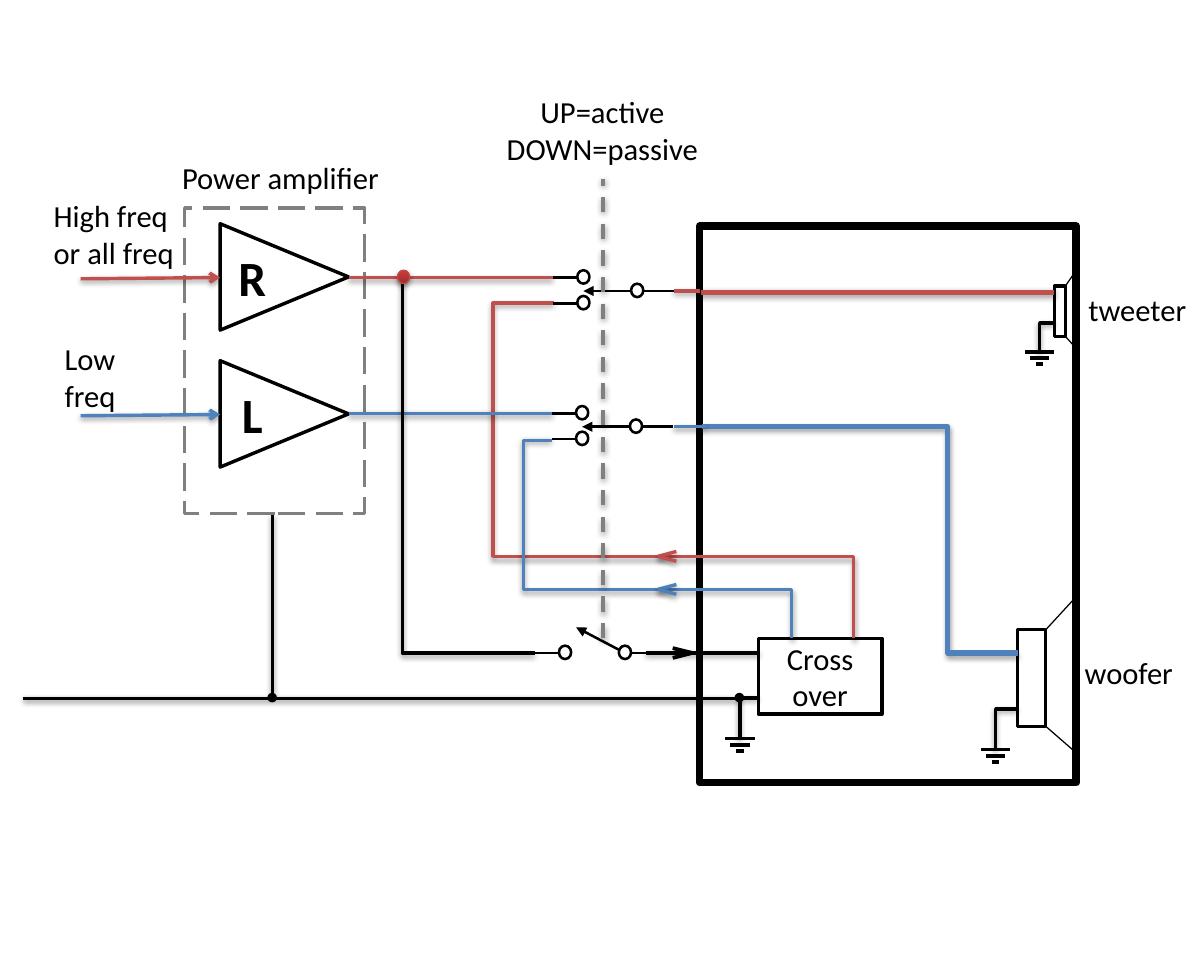
from lxml.etree import SubElement
from pptx import Presentation
from pptx.dml.color import RGBColor
from pptx.enum.dml import MSO_LINE
from pptx.enum.shapes import MSO_CONNECTOR, MSO_SHAPE
from pptx.enum.text import MSO_ANCHOR, PP_ALIGN
from pptx.oxml.ns import qn
from pptx.util import Inches, Pt

COLORS = {"black": "000000", "white": "FFFFFF", "gray": "808080",
          "red": "C0504D", "blue": "4F81BD", "node_line": "BF4C48",
          "node_dark": "9C2F2D", "node_light": "CE3B37"}
LABEL_FONT = {"name": "Calibri", "size": Pt(18), "bold": False}
AMPLIFIER_FONT = {"name": "Calibri", "size": Pt(29), "bold": True}
CONTACT = 0.1
LEAD = 0.2


def color(name):
    return RGBColor.from_string(COLORS[name])


def set_line(shape, name, width, dash=None):
    shape.line.color.rgb = color(name)
    shape.line.width = Pt(width)
    if dash:
        shape.line.dash_style = dash


def set_effects(shape, shadow):
    """Replace the theme shadow by a soft one below the shape, or by none."""
    properties = shape._element.spPr
    for old in properties.findall(qn("a:effectLst")):
        properties.remove(old)
    effects = SubElement(properties, qn("a:effectLst"))
    if shadow:
        outer = SubElement(effects, qn("a:outerShdw"), blurRad="40000", dist="20000",
                           dir="5400000", rotWithShape="0")
        black = SubElement(outer, qn("a:srgbClr"), val=COLORS["black"])
        SubElement(black, qn("a:alpha"), val="38000")


def add_wire(slide, points, name="black", width=2, shadow=True, dash=None, tail=None):
    """Join points, in inches, by a connector or by one bent outline."""
    corners = [(Inches(x), Inches(y)) for x, y in points]
    if len(corners) == 2:
        wire = slide.shapes.add_connector(MSO_CONNECTOR.STRAIGHT, *corners[0], *corners[1])
    else:
        builder = slide.shapes.build_freeform(*corners[0])
        builder.add_line_segments(corners[1:], close=False)
        wire = builder.convert_to_shape()
        wire.fill.background()
    set_line(wire, name, width, dash)
    if tail:
        SubElement(wire._element.spPr.find(qn("a:ln")), qn("a:tailEnd"), type=tail)
    set_effects(wire, shadow)


def add_part(slide, kind, box, width=2, fill="white", line="black", dash=None):
    shape = slide.shapes.add_shape(kind, *map(Inches, box))
    if fill:
        shape.fill.solid()
        shape.fill.fore_color.rgb = color(fill)
    else:
        shape.fill.background()
    set_line(shape, line, width, dash)
    set_effects(shape, False)
    return shape


def write(shape, lines, font=LABEL_FONT, align=PP_ALIGN.CENTER):
    frame = shape.text_frame
    frame.word_wrap = True
    for index, text in enumerate(lines):
        paragraph = frame.add_paragraph() if index else frame.paragraphs[0]
        paragraph.alignment = align
        run = paragraph.add_run()
        run.text = text
        for key, value in font.items():
            setattr(run.font, key, value)
        run.font.color.rgb = color("black")


def add_label(slide, box, *lines, align=PP_ALIGN.LEFT):
    write(slide.shapes.add_textbox(*map(Inches, box)), lines, align=align)


def add_junction(slide, x, y):
    add_part(slide, MSO_SHAPE.OVAL, (x - 0.03, y - 0.03, 0.05, 0.05), fill="black")


def add_ground(slide, points):
    """Draw a lead through the points and the three ground bars at its end."""
    add_wire(slide, points)
    x, y = points[-1]
    for row, half in enumerate((0.12, 0.08, 0.03)):
        level = y + 0.05 * row
        add_wire(slide, [(x - half, level), (x + half, level)], width=2.25, shadow=False)


def add_chevron(slide, tip, length, name="black", width=2, shadow=True):
    x, y = tip
    for rise in (-0.04, 0.04):
        add_wire(slide, [(x + length, y + rise), tip], name, width, shadow)


def draw_amplifier(slide, left, top, width, height):
    add_part(slide, MSO_SHAPE.RECTANGLE, (left, top, width, height), line="gray",
             dash=MSO_LINE.LONG_DASH)
    for row, letter in enumerate("RL"):
        triangle = add_part(slide, MSO_SHAPE.ISOSCELES_TRIANGLE,
                            (left + 0.38, top + 0.04 + 1.12 * row, 0.87, 1.05))
        triangle.rotation = 90
        triangle.text_frame._txBody.bodyPr.set("vert", "vert270")
        triangle.text_frame.vertical_anchor = MSO_ANCHOR.MIDDLE
        write(triangle, [letter], AMPLIFIER_FONT)
    add_label(slide, (left - 0.12, top - 0.45, 1.95, 0.4), "Power amplifier")
    add_label(slide, (left - 1.17, top - 0.14, 1.32, 0.71), "High freq or all freq")
    add_label(slide, (left - 1.08, top + 1.03, 1.05, 0.71), "Low freq")


def draw_speaker(slide, box, cone, ground):
    """Draw a driver; cone is reach, rise and drop, ground is tap, run and fall."""
    left, top, width, height = box
    reach, rise, drop = cone
    tap, run, fall = ground
    add_part(slide, MSO_SHAPE.RECTANGLE, box)
    right, bottom = left + width, top + height
    for start, end in ((top, top - rise), (bottom, bottom + drop)):
        add_wire(slide, [(right, start), (right + reach, end)], width=0.75, shadow=False)
    add_ground(slide, [(left, top + tap), (left - run, top + tap),
                       (left - run, top + tap + fall)])


def draw_cabinet(slide, left, top, width, height):
    add_part(slide, MSO_SHAPE.RECTANGLE, (left, top, width, height), width=4.5)
    crossover = add_part(slide, MSO_SHAPE.RECTANGLE, (left + 0.48, top + 3.37, 1.01, 0.62))
    crossover.text_frame.vertical_anchor = MSO_ANCHOR.MIDDLE
    write(crossover, ["Cross over"])
    draw_speaker(slide, (left + 2.9, top + 0.49, 0.09, 0.41), (0.09, 0.13, 0.1),
                 (0.3, 0.12, 0.24))
    draw_speaker(slide, (left + 2.6, top + 3.3, 0.23, 0.79), (0.23, 0.25, 0.2),
                 (0.65, 0.18, 0.33))
    add_ground(slide, [(left + 0.48, top + 3.86), (left + 0.33, top + 3.86),
                       (left + 0.33, top + 4.19)])
    add_label(slide, (left + 3.08, top + 0.48, 1.05, 0.4), "tweeter")
    add_label(slide, (left + 3.05, top + 3.45, 0.93, 0.4), "woofer")


def draw_switch(slide, left, top, throws, pole, tip, out):
    """Draw contacts at the throw rows, a pole, its arrow to tip and its lead to out."""
    def add_contact(x, y, fill):
        add_part(slide, MSO_SHAPE.OVAL, (left + x, top + y - 0.06, CONTACT, 0.11), 1.5, fill)

    pole_x, pole_y = pole
    center = (left + pole_x + CONTACT / 2, top + pole_y)
    for row in throws:
        add_contact(LEAD, row, None)
        add_wire(slide, [(left + LEAD, top + row), (left, top + row)], width=1.5, shadow=False)
    add_wire(slide, [center, (left + out, top + pole_y)], width=1.5, shadow=False)
    add_wire(slide, [center, (left + tip[0], top + tip[1])], width=1.5, shadow=False,
             tail="triangle")
    add_contact(pole_x, pole_y, "white")


def draw_wiring(slide):
    for name, width, points in (
            ("red", 3, [(8.62, 2.39), (5.73, 2.39)]),
            ("blue", 3, [(8.32, 5.34), (7.75, 5.34), (7.75, 3.49), (5.74, 3.49)]),
            ("black", 2, [(6.21, 5.34), (5.28, 5.34)]),
            ("black", 2, [(6.05, 5.71), (0.19, 5.71)]),
            ("black", 2, [(2.23, 4.21), (2.23, 5.68)]),
            ("red", 2, [(2.85, 2.27), (4.52, 2.27)]),
            ("red", 2, [(6.98, 5.22), (6.98, 4.55), (4.03, 4.55), (4.03, 2.48), (4.53, 2.48)]),
            ("blue", 2, [(6.47, 5.22), (6.47, 4.82), (4.28, 4.82), (4.28, 3.6), (4.51, 3.6)]),
            ("blue", 2, [(2.85, 3.38), (4.52, 3.38)]),
            ("red", 2, [(5.51, 2.38), (5.72, 2.38)]),
            ("blue", 2, [(5.51, 3.49), (5.77, 3.49)]),
            ("black", 2, [(3.29, 2.26), (3.29, 5.34), (4.37, 5.34)])):
        add_wire(slide, points, name, width)
    for name, y in (("red", 2.27), ("blue", 3.39)):
        add_wire(slide, [(0.66, y + 0.01), (1.8, y)], name, tail="arrow")
    for x in (2.23, 6.05):
        add_junction(slide, x, 5.71)
    for name, y in (("red", 4.55), ("blue", 4.82)):
        add_chevron(slide, (5.38, y), 0.15, name)
    add_chevron(slide, (5.66, 5.34), -0.16, width=2.25, shadow=False)


def draw_mode_selector(slide, left, top):
    for x, y in ((left, top + 1.56), (left - 0.01, top + 2.67)):
        draw_switch(slide, x, y, (0, 0.21), (0.64, 0.11), (0.25, 0.11), 0.99)
    draw_switch(slide, left - 0.15, top + 4.63, (0,), (0.69, 0), (0.34, -0.21), 0.98)
    add_wire(slide, [(left + 0.41, top + 4.51), (left + 0.41, top + 0.75)], "gray", 2.25,
             dash=MSO_LINE.DASH)
    add_label(slide, (left - 0.63, top, 2.07, 0.71), "UP=active", "DOWN=passive",
              align=PP_ALIGN.CENTER)


def draw_red_node(slide, left, top):
    node = add_part(slide, MSO_SHAPE.OVAL, (left, top, 0.1, 0.11), 0.75, line="node_line")
    node.fill.gradient()
    node.fill.gradient_angle = 90
    for stop, name in zip(node.fill.gradient_stops, ("node_dark", "node_light")):
        stop.color.rgb = color(name)
    set_effects(node, True)


def main():
    presentation = Presentation()
    presentation.slide_width = Pt(708.75)
    presentation.slide_height = Pt(567)
    slide = presentation.slides.add_slide(presentation.slide_layouts[6])
    draw_amplifier(slide, 1.51, 1.7, 1.47, 2.5)
    draw_cabinet(slide, 5.72, 1.85, 3.08, 4.55)
    draw_wiring(slide)
    draw_mode_selector(slide, 4.52, 0.71)
    draw_red_node(slide, 3.25, 2.21)
    presentation.save("out.pptx")


if __name__ == "__main__":
    main()
